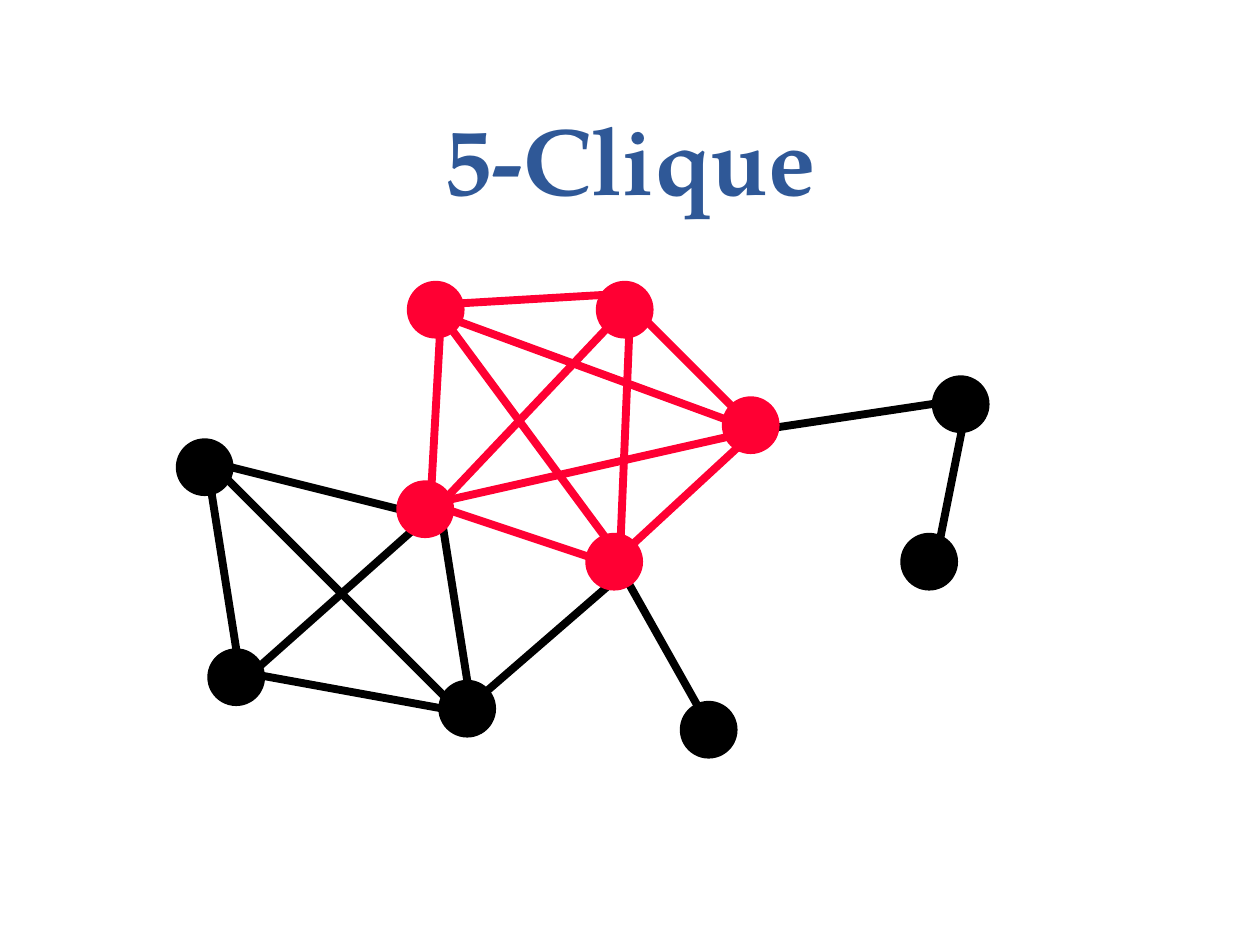
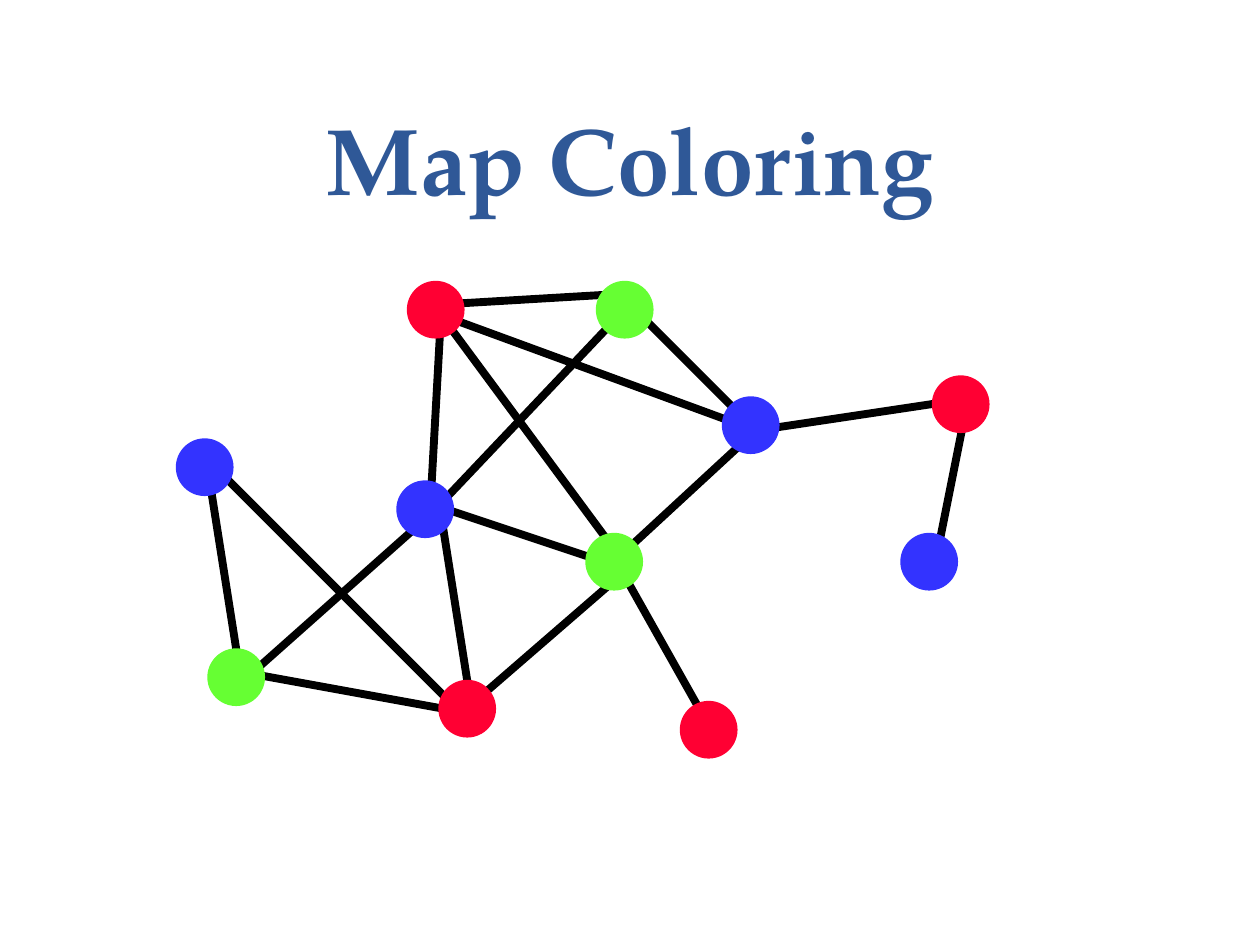
"""Build two slides that show a 5-clique and a map coloring on one graph."""
from dataclasses import dataclass
from typing import NamedTuple

from lxml.etree import SubElement
from pptx import Presentation
from pptx.dml.color import RGBColor as RGB
from pptx.enum.shapes import MSO_CONNECTOR as Connector
from pptx.enum.shapes import MSO_SHAPE as Shape
from pptx.enum.text import MSO_ANCHOR as Anchor
from pptx.enum.text import MSO_AUTO_SIZE as AutoSize
from pptx.enum.text import PP_ALIGN as Align
from pptx.oxml.ns import qn
from pptx.shapes.shapetree import GroupShapes
from pptx.slide import Slide
from pptx.util import Length, Pt


@dataclass(frozen=True)
class Theme:
    """Colours, fonts and sizes shared by the slides."""
    title: RGB = RGB(0x2F, 0x58, 0x97)
    black: RGB = RGB(0, 0, 0)
    red: RGB = RGB(0xFF, 0x00, 0x33)
    green: RGB = RGB(0x66, 0xFF, 0x33)
    blue: RGB = RGB(0x33, 0x33, 0xFF)
    font: str = "TeX Gyre Pagella"
    title_size: Length = Pt(54)
    title_spacing: Length = Pt(58)
    node_line: Length = Pt(3)
    edge_line: Length = Pt(4.5)


class Node(NamedTuple):
    """Top left corner of a node in grid steps, and its map colour."""
    x: int
    y: int
    map_color: RGB


class Edge(NamedTuple):
    """Names of the joined nodes, and the end points in grid steps."""
    ends: str
    x1: int
    y1: int
    x2: int
    y2: int


THEME = Theme()
GRID = 6
NODE_STEPS = 5
CLIQUE = set("ABCDE")
CLIQUE_SLIDE_EDGES = {"BD", "CE", "CH"}

NODES = {
    "A": Node(39, 27, THEME.red),
    "B": Node(57, 27, THEME.green),
    "C": Node(38, 46, THEME.blue),
    "D": Node(56, 51, THEME.green),
    "E": Node(69, 38, THEME.blue),
    "F": Node(89, 36, THEME.red),
    "G": Node(86, 51, THEME.blue),
    "H": Node(17, 42, THEME.blue),
    "I": Node(20, 62, THEME.green),
    "J": Node(42, 65, THEME.red),
    "K": Node(65, 67, THEME.red),
}

EDGES = [
    Edge("HI", 20, 46, 23, 65),
    Edge("IC", 23, 65, 41, 49),
    Edge("AC", 42, 30, 41, 48),
    Edge("CJ", 42, 49, 45, 68),
    Edge("DC", 59, 54, 41, 48),
    Edge("DJ", 60, 54, 45, 67),
    Edge("BD", 60, 30, 59, 54),
    Edge("BE", 61, 30, 71, 40),
    Edge("DK", 59, 54, 68, 70),
    Edge("FG", 92, 39, 89, 54),
    Edge("FE", 92, 38, 72, 41),
    Edge("BA", 59, 28, 42, 29),
    Edge("BC", 59, 30, 41, 49),
    Edge("AD", 42, 30, 59, 53),
    Edge("ED", 72, 41, 59, 53),
    Edge("EA", 72, 41, 42, 30),
    Edge("CE", 41, 48, 72, 41),
    Edge("HJ", 20, 44, 44, 68),
    Edge("CH", 40, 49, 20, 44),
    Edge("IJ", 23, 64, 45, 68),
]


def steps(n: int) -> Length:
    return Pt(n * GRID)


def clique_color(names: str) -> RGB:
    return THEME.red if CLIQUE.issuperset(names) else THEME.black


def add_title(s: Slide, text: str) -> None:
    sp = s.shapes.title
    sp.left, sp.top, sp.width, sp.height = Pt(36), Pt(0), Pt(648), Pt(126)
    tf = sp.text_frame
    tf.text = text
    tf.auto_size = AutoSize.NONE
    tf.vertical_anchor = Anchor.BOTTOM
    p = tf.paragraphs[0]
    p.alignment = Align.CENTER
    p.line_spacing = THEME.title_spacing
    p.font.name = THEME.font
    p.font.size = THEME.title_size
    p.font.bold = True
    p.font.color.rgb = THEME.title


def add_edge(shapes: GroupShapes, edge: Edge, color: RGB) -> None:
    cx = shapes.add_connector(Connector.STRAIGHT, steps(edge.x1), steps(edge.y1),
                              steps(edge.x2), steps(edge.y2))
    cx.line.color.rgb = color
    cx.line.width = THEME.edge_line
    SubElement(cx._element.spPr, qn("a:effectLst"))


def add_node(shapes: GroupShapes, node: Node, color: RGB) -> None:
    size = steps(NODE_STEPS)
    sp = shapes.add_shape(Shape.OVAL, steps(node.x), steps(node.y), size, size)
    sp.shadow.inherit = False
    sp.fill.solid()
    sp.fill.fore_color.rgb = color
    sp.line.color.rgb = color
    sp.line.width = THEME.node_line


def add_graph(s: Slide, edge_colors: dict[str, RGB], node_colors: dict[str, RGB]) -> None:
    shapes = s.shapes.add_group_shape().shapes
    for edge in EDGES:
        if edge.ends in edge_colors:
            add_edge(shapes, edge, edge_colors[edge.ends])
    for name, node in NODES.items():
        add_node(shapes, node, node_colors[name])


def main() -> None:
    prs = Presentation()
    prs.slide_width, prs.slide_height = Pt(720), Pt(540)
    title_only = prs.slide_layouts[5]

    s = prs.slides.add_slide(title_only)
    add_title(s, "5-Clique")
    add_graph(s, {e.ends: clique_color(e.ends) for e in EDGES},
              {name: clique_color(name) for name in NODES})

    s = prs.slides.add_slide(title_only)
    add_title(s, "Map Coloring")
    add_graph(s, {e.ends: THEME.black for e in EDGES if e.ends not in CLIQUE_SLIDE_EDGES},
              {name: node.map_color for name, node in NODES.items()})

    prs.save("out.pptx")


if __name__ == "__main__":
    main()
